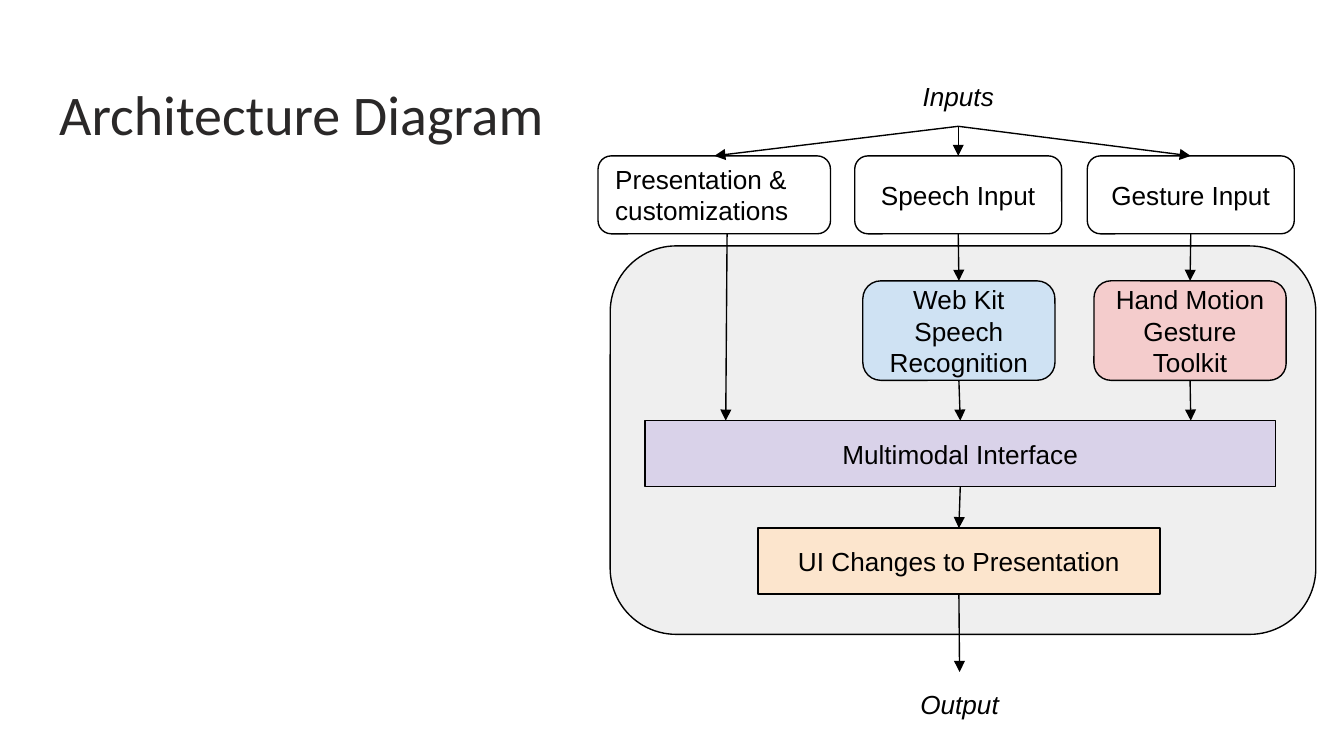
import pptx
import pptx.util
import pptx.dml.color
import pptx.enum.shapes
import pptx.enum.text
import pptx.oxml.ns
import lxml.etree

Inches, Pt = pptx.util.Inches, pptx.util.Pt
MSO = pptx.enum.shapes.MSO_SHAPE
ALIGN = pptx.enum.text.PP_ALIGN
ANCHOR = pptx.enum.text.MSO_ANCHOR
TOP, BOTTOM = 0, 2

COLORS = {
    "title": "2A2828", "ink": "000000", "input": "FFFFFF", "system": "EFEFEF",
    "speech": "CFE2F3", "gesture": "F4CCCC", "interface": "D9D2E9", "ui": "FCE5CD",
}

# Content: name, text, fill, (left, top, width, height), corner radius (None = square)
TITLE = "Architecture Diagram"
BOXES = [
    ("system", "", "system", (4.54, 1.83, 5.25, 2.89), 0.17),
    ("interface", "Multimodal Interface", "interface", (4.8, 3.13, 4.69, 0.49), None),
    ("ui", "UI Changes to Presentation", "ui", (5.64, 3.93, 2.99, 0.49), None),
    ("custom", "Presentation & customizations", "input", (4.45, 1.16, 1.73, 0.58), 0.17),
    ("speech in", "Speech Input", "input", (6.36, 1.16, 1.54, 0.58), 0.17),
    ("gesture in", "Gesture Input", "input", (8.09, 1.16, 1.54, 0.58), 0.17),
    ("speech kit", "Web Kit Speech Recognition", "speech", (6.42, 2.09, 1.43, 0.74), 0.18),
    ("gesture kit", "Hand Motion Gesture Toolkit", "gesture", (8.14, 2.09, 1.43, 0.74), 0.17),
]
LABELS = [
    ("inputs", "Inputs", (6.62, 0.5, 1.02, 0.44)),
    ("output", "Output", (6.63, 5.02, 1.02, 0.44)),
]
# Each arrow runs from a bottom side to a top side, or between free points
ARROWS = [
    ("inputs", "custom"), ("inputs", "speech in"), ("inputs", "gesture in"),
    ("speech in", "speech kit"), ("gesture in", "gesture kit"),
    ((5.41, 1.74), (5.4, 3.13)),
    ("speech kit", "interface"), ("gesture kit", (8.86, 3.13)),
    ("interface", "ui"), ("ui", (7.14, 5)),
]


def rgb(name):
    return pptx.dml.color.RGBColor.from_string(COLORS[name])


def write(sp, text, size, font, color, align, anchor, italic=None):
    tf = sp.text_frame
    tf.word_wrap = True
    tf.auto_size = pptx.enum.text.MSO_AUTO_SIZE.NONE
    tf.vertical_anchor = anchor
    tf.margin_left = tf.margin_right = tf.margin_top = tf.margin_bottom = Inches(0.1)
    p = tf.paragraphs[0]
    p.text = text
    p.alignment = align
    p.font.size, p.font.name, p.font.italic = Pt(size), font, italic
    p.font.color.rgb = rgb(color)


def add_box(s, text, fill, at, radius):
    kind = MSO.RECTANGLE if radius is None else MSO.ROUNDED_RECTANGLE
    sp = s.shapes.add_shape(kind, *map(Inches, at))
    if radius is not None:
        sp.adjustments[0] = radius
    sp.shadow.inherit = False
    sp.fill.solid()
    sp.fill.fore_color.rgb = rgb(fill)
    sp.line.color.rgb = rgb("ink")
    sp.line.width = Pt(0.75)
    if text:
        align = ALIGN.LEFT if "&" in text else ALIGN.CENTER
        write(sp, text, 14, "Arial", "ink", align, ANCHOR.MIDDLE)
    return sp


def add_arrow(s, nodes, start, end):
    points = [(0, 0) if isinstance(e, str) else e for e in (start, end)]
    line = s.shapes.add_connector(pptx.enum.shapes.MSO_CONNECTOR.STRAIGHT,
                                  *(Inches(v) for point in points for v in point))
    if isinstance(start, str):
        line.begin_connect(nodes[start], BOTTOM)
    if isinstance(end, str):
        line.end_connect(nodes[end], TOP)
    line.line.color.rgb = rgb("ink")
    line.line.width = Pt(0.75)
    qn = pptx.oxml.ns.qn
    props = line.element.spPr
    lxml.etree.SubElement(props.find(qn("a:ln")), qn("a:tailEnd"), type="triangle")
    lxml.etree.SubElement(props, qn("a:effectLst"))


def main():
    prs = pptx.Presentation()
    # A 16:9 slide, 10 inches wide
    prs.slide_width = Inches(10)
    prs.slide_height = Inches(10) * 9 // 16
    s = prs.slides.add_slide(prs.slide_layouts[5])

    # Title
    title = s.shapes.title
    title.left, title.top, title.width, title.height = map(Inches, (0.34, 0.49, 4.33, 0.63))
    write(title, TITLE, 30, "Calibri", "title", ALIGN.LEFT, ANCHOR.TOP)

    # Boxes
    nodes = {name: add_box(s, *rest) for name, *rest in BOXES}

    # Labels at both ends of the flow
    for name, text, at in LABELS:
        nodes[name] = s.shapes.add_textbox(*map(Inches, at))
        write(nodes[name], text, 14, "Arial", "ink", ALIGN.CENTER, ANCHOR.TOP, italic=True)

    # Arrows
    for start, end in ARROWS:
        add_arrow(s, nodes, start, end)

    prs.save("out.pptx")


if __name__ == "__main__":
    main()
